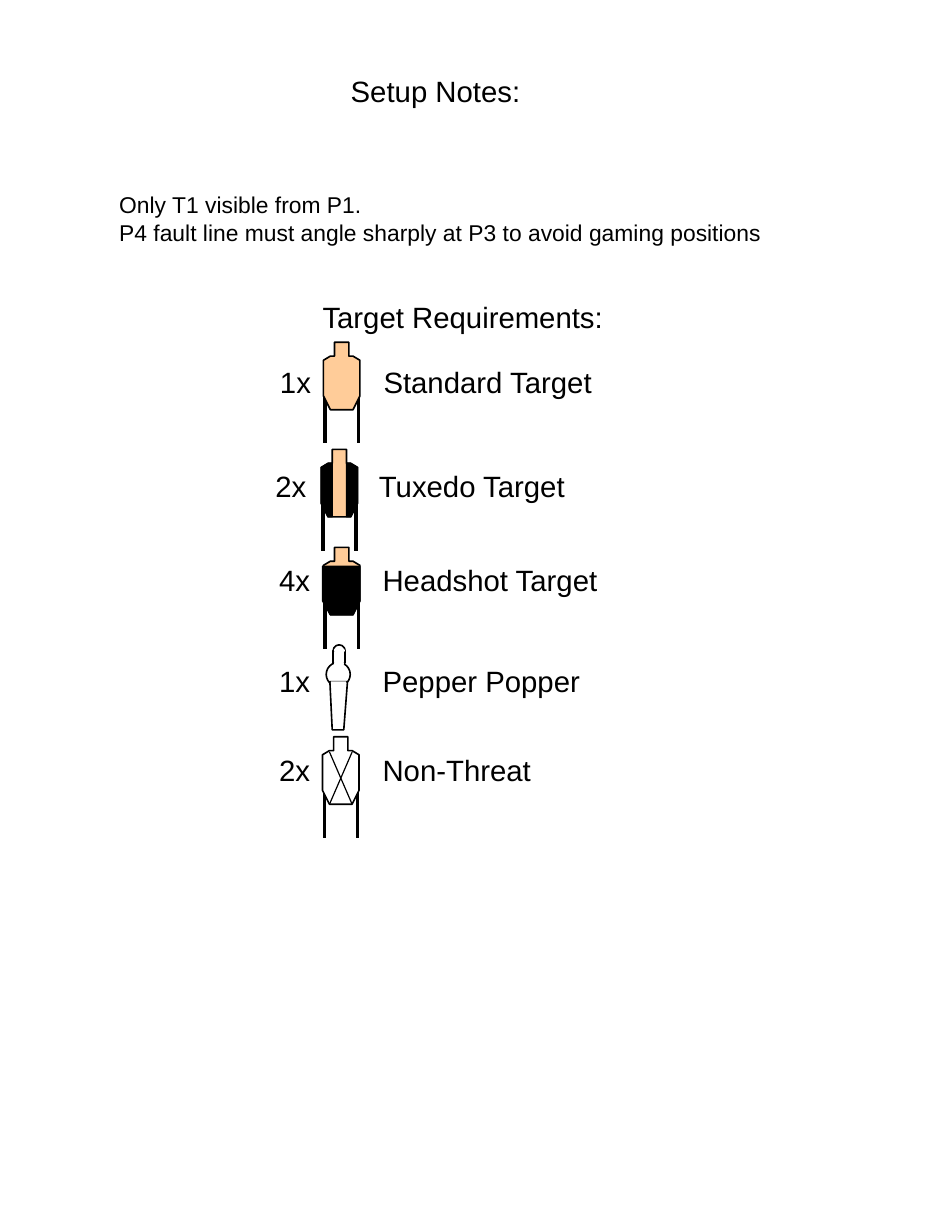
import pptx
import pptx.dml.color
import pptx.enum.shapes
import pptx.enum.text
import pptx.oxml
import pptx.oxml.ns
import pptx.util

Cm = pptx.util.Cm
Pt = pptx.util.Pt
Shape = pptx.enum.shapes.MSO_SHAPE

BLACK = pptx.dml.color.RGBColor(0x00, 0x00, 0x00)
WHITE = pptx.dml.color.RGBColor(0xFF, 0xFF, 0xFF)
TAN = pptx.dml.color.RGBColor(0xFF, 0xCC, 0x99)

# Target parts in cm, measured from the top left of the target
TARGET_WIDTH = 0.79
LEG_TOP, LEG_BOTTOM = 1.07, 2.19
TARGET_RIGHT = [(0.55, 0), (0.55, 0.3), (0.64, 0.3), (0.79, 0.39), (0.79, 1.16), (0.64, 1.46)]
TUXEDO_PANEL = [(0.55, 0.3), (0.55, 1.46), (0.64, 1.46), (0.79, 1.17), (0.79, 0.39), (0.64, 0.3)]
HEADSHOT_PANEL = [(-0.02, 0.41), (0.79, 0.41), (0.79, 1.16), (0.64, 1.46), (0.15, 1.46), (-0.02, 1.16)]


def mirror(points):
    """Reflect points about the target's vertical centre line."""
    return [(TARGET_WIDTH - x, y) for x, y in points]


class SlideBuilder:
    font_name = "Arial"
    label_tab = Cm(2.24)

    def __init__(self, slide):
        self.slide = slide
        self.shapes = slide.shapes

    def start_group(self):
        self.shapes = self.slide.shapes.add_group_shape().shapes

    def text(self, lines, left, top, width, height, size=18, wrap=False):
        box = self.slide.shapes.add_textbox(Cm(left), Cm(top), Cm(width), Cm(height))
        frame = box.text_frame
        frame.word_wrap = wrap
        frame.auto_size = pptx.enum.text.MSO_AUTO_SIZE.SHAPE_TO_FIT_TEXT
        frame.text = "\n".join(lines)
        for paragraph in frame.paragraphs:
            for run in paragraph.runs:
                run.font.name = self.font_name
                run.font.size = Pt(size)
                run.font.color.rgb = BLACK
        return box

    def label(self, count, name, left, top, width):
        box = self.text([f"{count}\t{name}"], left, top, width, 1.02)
        properties = box.text_frame.paragraphs[0]._p.get_or_add_pPr()
        tabs = pptx.oxml.parse_xml(
            f'<a:tabLst {pptx.oxml.ns.nsdecls("a")}><a:tab pos="{self.label_tab}" algn="l"/></a:tabLst>')
        properties.append(tabs)

    def line(self, start, end, width):
        connector = self.shapes.add_connector(
            pptx.enum.shapes.MSO_CONNECTOR.STRAIGHT, *(Cm(value) for value in (*start, *end)))
        connector.line.color.rgb = BLACK
        connector.line.width = Pt(width)
        connector._element.spPr.append(
            pptx.oxml.parse_xml(f'<a:effectLst {pptx.oxml.ns.nsdecls("a")}/>'))

    def paint(self, shape, fill, line, width):
        shape.shadow.inherit = False
        shape.fill.solid()
        shape.fill.fore_color.rgb = fill
        if line is None:
            shape.line.fill.background()
        else:
            shape.line.color.rgb = line
            shape.line.width = Pt(width)

    def outline(self, points, left, top, fill, width=1):
        corners = [(Cm(left + x), Cm(top + y)) for x, y in points]
        builder = self.shapes.build_freeform(*corners[0])
        builder.add_line_segments(corners[1:], close=True)
        self.paint(builder.convert_to_shape(), fill, BLACK, width)

    def preset(self, kind, left, top, width, height, line=BLACK):
        shape = self.shapes.add_shape(kind, Cm(left), Cm(top), Cm(width), Cm(height))
        self.paint(shape, WHITE, line, 1)

    def target(self, left, top, fill=TAN, panels=(), crossed=False):
        self.start_group()
        for x in (left + 0.04, left + 0.76):
            self.line((x, top + LEG_TOP), (x, top + LEG_BOTTOM), 2.25)
        self.outline(TARGET_RIGHT + mirror(TARGET_RIGHT)[::-1], left, top, fill)
        for panel in panels:
            self.outline(panel, left, top, BLACK, 0)
        if crossed:
            for x_start, x_end in ((0.64, 0.15), (0.15, 0.64)):
                self.line((left + x_start, top + 0.33), (left + x_end, top + 1.46), 0.75)

    def popper(self, left, top):
        self.start_group()
        self.preset(Shape.OVAL, left + 0.15, top, 0.26, 0.26)
        self.preset(Shape.OVAL, left, top + 0.38, 0.52, 0.52)
        self.outline([(0.08, 0.8), (0.46, 0.8), (0.38, 1.84), (0.13, 1.84)], left, top, WHITE)
        self.preset(Shape.RECTANGLE, left + 0.15, top + 0.13, 0.26, 0.26)
        # White strips hide the seams between the parts
        self.preset(Shape.RECTANGLE, left + 0.1, top + 0.79, 0.33, 0.05, line=None)
        self.preset(Shape.RECTANGLE, left + 0.19, top + 0.38, 0.18, 0.05, line=WHITE)
        self.preset(Shape.RECTANGLE, left + 0.18, top + 0.11, 0.2, 0.03, line=WHITE)


def main():
    presentation = pptx.Presentation()
    presentation.slide_width = Cm(20.32)
    presentation.slide_height = Cm(26.67)
    builder = SlideBuilder(presentation.slides.add_slide(presentation.slide_layouts[6]))

    builder.text(["Setup Notes:"], 7.34, 1.47, 4.22, 1.02)
    builder.text(["Only T1 visible from P1.",
                  "P4 fault line must angle sharply at P3 to avoid gaming positions"],
                 2.33, 4.01, 15.67, 1.45, size=14, wrap=True)
    builder.text(["Target Requirements:"], 6.73, 6.35, 6.86, 1.02)

    builder.target(7.0, 7.41)
    builder.target(6.95, 9.73, panels=(TUXEDO_PANEL, mirror(TUXEDO_PANEL)))
    builder.target(7.0, 11.85, panels=(HEADSHOT_PANEL,))
    builder.popper(7.06, 13.96)
    builder.target(6.98, 15.95, fill=WHITE, crossed=True)

    for count, name, left, top, width in (
            ("1x", "Standard Target", 5.81, 7.76, 7.34),
            ("2x", "Tuxedo Target", 5.71, 10.01, 6.83),
            ("4x", "Headshot Target", 5.79, 12.04, 7.49),
            ("1x", "Pepper Popper", 5.79, 14.23, 7.11),
            ("2x", "Non-Threat", 5.79, 16.15, 6.05)):
        builder.label(count, name, left, top, width)

    presentation.save("out.pptx")


if __name__ == "__main__":
    main()
